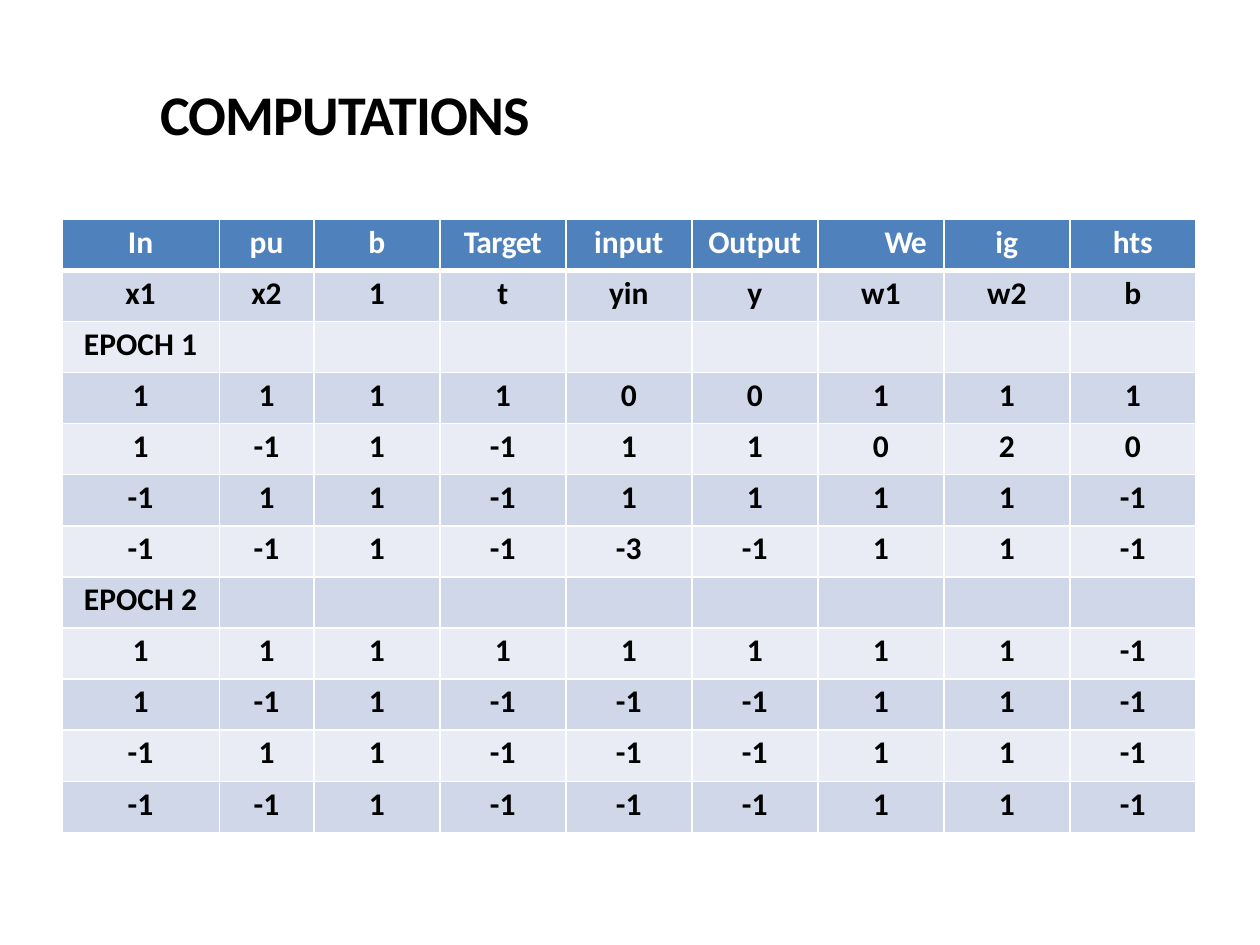
import dataclasses

import lxml.etree
import pptx
import pptx.dml.color
import pptx.enum.text
import pptx.oxml.ns
import pptx.presentation
import pptx.slide
import pptx.table
import pptx.text.text
import pptx.util

BLACK = pptx.dml.color.RGBColor(0x00, 0x00, 0x00)
WHITE = pptx.dml.color.RGBColor(0xFF, 0xFF, 0xFF)
HEADER_BLUE = pptx.dml.color.RGBColor(0x4F, 0x81, 0xBC)
DARK_BAND = pptx.dml.color.RGBColor(0xD0, 0xD7, 0xE8)
LIGHT_BAND = pptx.dml.color.RGBColor(0xE9, 0xEC, 0xF4)

FONT = "Calibri"
SLIDE_WIDTH = pptx.util.Inches(10)
SLIDE_HEIGHT = pptx.util.Inches(7.5)

# The table's columns are counted in quarter inches
COLUMN_UNIT = pptx.util.Inches(0.25)
COLUMN_UNITS = [5, 3] + [4] * 7
TABLE_LEFT = pptx.util.Inches(0.49)
TABLE_TOP = pptx.util.Inches(1.74)
TABLE_HEIGHT = pptx.util.Inches(4.87)
THIN, THICK = 1, 3


@dataclasses.dataclass(frozen=True)
class Row:
    """One table row; cells that are not listed stay empty."""
    cells: tuple[str, ...]


def training_row(values: str) -> Row:
    return Row(tuple(values.split()))


ROWS = [
    Row(("In", "pu", "b", "Target", "input", "Output", "We", "ig", "hts")),
    Row(("x1", "x2", "1", "t", "yin", "y", "w1", "w2", "b")),
    Row(("EPOCH 1",)),
    training_row("1 1 1 1 0 0 1 1 1"),
    training_row("1 -1 1 -1 1 1 0 2 0"),
    training_row("-1 1 1 -1 1 1 1 1 -1"),
    training_row("-1 -1 1 -1 -3 -1 1 1 -1"),
    Row(("EPOCH 2",)),
    training_row("1 1 1 1 1 1 1 1 -1"),
    training_row("1 -1 1 -1 -1 -1 1 1 -1"),
    training_row("-1 1 1 -1 -1 -1 1 1 -1"),
    training_row("-1 -1 1 -1 -1 -1 1 1 -1"),
]
# Letter spacing in points of the header words that are not set plainly
HEADER_SPACING = {"pu": 0.1, "Target": -0.3, "Output": -0.1, "We": -0.6, "hts": -0.1}


def write_text(paragraph: pptx.text.text._Paragraph, text: str, size: float,
               color: pptx.dml.color.RGBColor, spacing: float = 0) -> None:
    run = paragraph.add_run()
    run.text = text
    paragraph.font.name = FONT
    paragraph.font.size = pptx.util.Pt(size)
    paragraph.font.bold = True
    paragraph.font.color.rgb = color
    if spacing:
        run._r.get_or_add_rPr().set("spc", str(round(spacing * 100)))


def set_borders(cell: pptx.table._Cell, top: float, bottom: float) -> None:
    properties = cell._tc.get_or_add_tcPr()
    widths = {"a:lnL": THIN, "a:lnR": THIN, "a:lnT": top, "a:lnB": bottom}
    for position, (tag, width) in enumerate(widths.items()):
        line = lxml.etree.Element(pptx.oxml.ns.qn(tag), w=str(pptx.util.Pt(width)))
        fill = lxml.etree.SubElement(line, pptx.oxml.ns.qn("a:solidFill"))
        lxml.etree.SubElement(fill, pptx.oxml.ns.qn("a:srgbClr"), val=str(WHITE))
        properties.insert(position, line)


def format_cell(cell: pptx.table._Cell, row_index: int, text: str) -> None:
    is_header = row_index == 0
    cell.margin_left = cell.margin_right = cell.margin_bottom = 0
    cell.margin_top = pptx.util.Inches(0.03)
    cell.fill.solid()
    band = DARK_BAND if row_index % 2 else LIGHT_BAND
    cell.fill.fore_color.rgb = HEADER_BLUE if is_header else band
    set_borders(cell, THICK if row_index == 1 else THIN, THICK if is_header else THIN)

    if not text:
        return
    paragraph = cell.text_frame.paragraphs[0]
    paragraph.space_before = pptx.util.Pt(2.4 if row_index < 4 else 2.5)
    if text == "We":
        # Pushed right, so that the word runs on into the next columns
        paragraph.alignment = pptx.enum.text.PP_ALIGN.LEFT
        paragraph._p.get_or_add_pPr().set("marL", str(pptx.util.Inches(0.53)))
    else:
        paragraph.alignment = pptx.enum.text.PP_ALIGN.CENTER
    spacing = HEADER_SPACING.get(text, 0) if is_header else 0
    write_text(paragraph, text, 18, WHITE if is_header else BLACK, spacing)


def add_title(slide: pptx.slide.Slide) -> None:
    title = slide.shapes.title
    title.left, title.top = pptx.util.Inches(1.25), pptx.util.Inches(0.62)
    title.width, title.height = pptx.util.Inches(5.27), pptx.util.Inches(0.56)
    frame = title.text_frame
    frame.margin_left = frame.margin_right = frame.margin_bottom = 0
    frame.margin_top = pptx.util.Inches(0.01)
    frame.vertical_anchor = pptx.enum.text.MSO_ANCHOR.TOP
    frame.auto_size = pptx.enum.text.MSO_AUTO_SIZE.SHAPE_TO_FIT_TEXT
    paragraph = frame.paragraphs[0]
    paragraph.alignment = pptx.enum.text.PP_ALIGN.LEFT
    paragraph.space_before = pptx.util.Pt(1.1)
    paragraph._p.get_or_add_pPr().set("marL", str(pptx.util.Inches(0.02)))
    write_text(paragraph, "COMPUTATIONS", 32, BLACK, -0.5)


def add_computation_table(slide: pptx.slide.Slide) -> None:
    table = slide.shapes.add_table(
        len(ROWS), len(COLUMN_UNITS), TABLE_LEFT, TABLE_TOP,
        COLUMN_UNIT * sum(COLUMN_UNITS), TABLE_HEIGHT).table
    for column, units in zip(table.columns, COLUMN_UNITS):
        column.width = COLUMN_UNIT * units
    for row_index, row in enumerate(ROWS):
        for column_index in range(len(COLUMN_UNITS)):
            text = row.cells[column_index] if column_index < len(row.cells) else ""
            format_cell(table.cell(row_index, column_index), row_index, text)


def main() -> None:
    presentation = pptx.Presentation()
    presentation.slide_width = SLIDE_WIDTH
    presentation.slide_height = SLIDE_HEIGHT
    title_only_layout = presentation.slide_layouts[5]
    slide = presentation.slides.add_slide(title_only_layout)
    add_title(slide)
    add_computation_table(slide)
    presentation.save("out.pptx")


if __name__ == "__main__":
    main()
